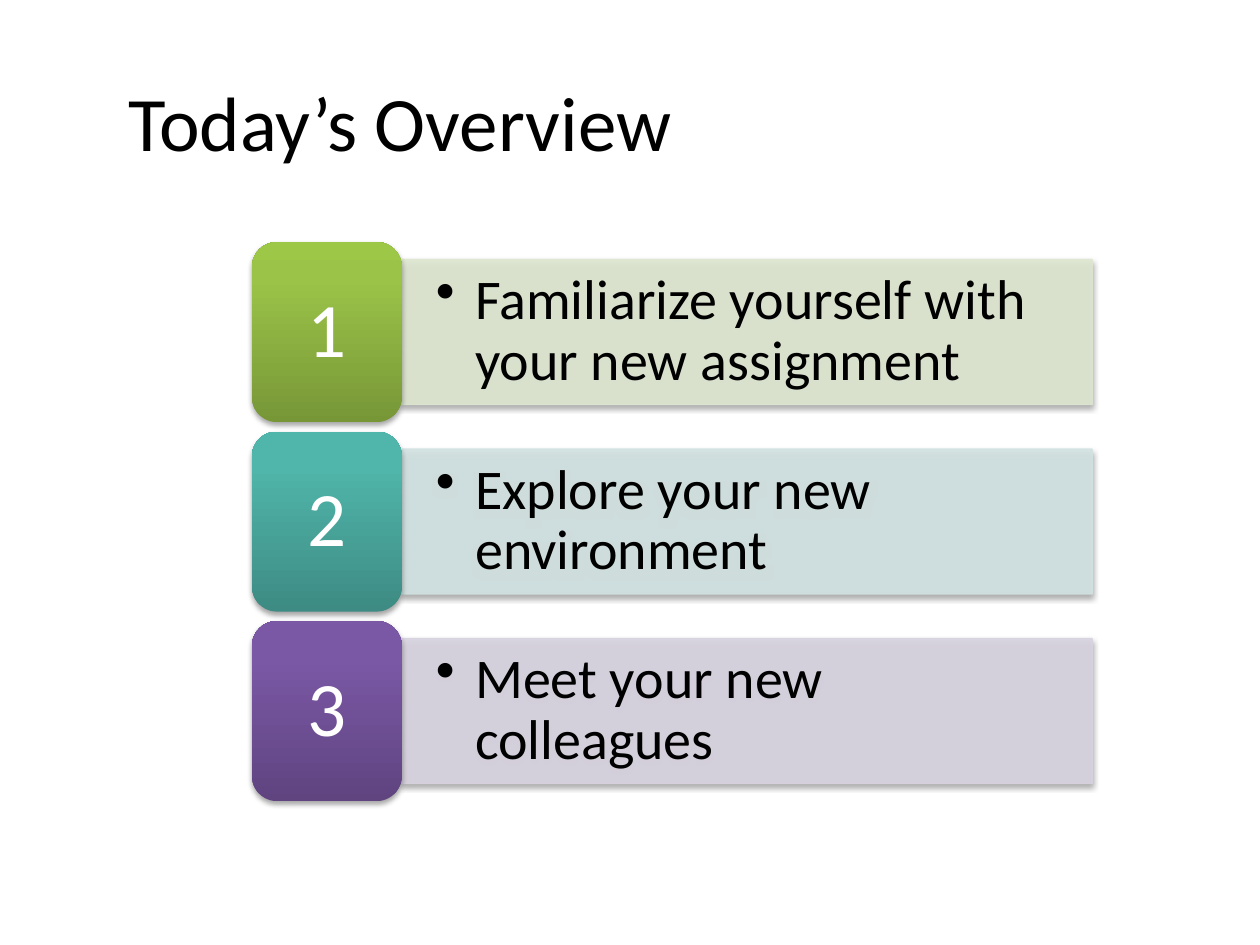
from lxml import etree
from pptx import Presentation
from pptx.dml.color import RGBColor
from pptx.enum.shapes import MSO_SHAPE
from pptx.enum.text import MSO_ANCHOR, PP_ALIGN
from pptx.oxml.ns import qn
from pptx.util import Cm, Pt

RECTANGLE = MSO_SHAPE.RECTANGLE
ROUNDED = MSO_SHAPE.ROUNDED_RECTANGLE
MIDDLE = MSO_ANCHOR.MIDDLE
LEFT, CENTER = PP_ALIGN.LEFT, PP_ALIGN.CENTER

COLORS = {"text": "000000", "number": "FFFFFF", "shadow": "000000"}
STEPS = [
    ("Familiarize yourself with your new assignment", "DEE7D1", ("779737", "9BC348", "9DC746")),
    ("Explore your new environment", "D2E3E2", ("3D8B83", "50B5AA", "4EB8AC")),
    ("Meet your new colleagues", "D8D3E0", ("5F4480", "7B58A6", "7C57A8")),
]
GRADIENT_STOPS = (0, 80, 100)
TILE_LEFT, TILE_TOP, TILE_WIDTH, TILE_HEIGHT = 5.08, 4.88, 3.02, 3.63
BAR_WIDTH, BAR_HEIGHT = 13.92, 2.92
STEP_PITCH = 3.82


def add_node(parent, tag, **attributes):
    values = {name: str(value) for name, value in attributes.items()}
    return etree.SubElement(parent, qn(tag), values)


def add_color(parent, color, alpha=100):
    node = add_node(parent, "a:srgbClr", val=color)
    if alpha < 100:
        add_node(node, "a:alpha", val=alpha * 1000)


class SlideBuilder:
    """Holds the text style and the current slide, and draws its elements."""

    font = "Calibri"

    def __init__(self, page):
        self.page = page

    def set_text(self, shape, text, size, color, align=LEFT, margins=(0.25, 0.13),
                 spacing=1.0, bullet_indent=0):
        frame = shape.text_frame
        frame.word_wrap = True
        frame.vertical_anchor = MIDDLE
        frame.margin_left = frame.margin_right = Cm(margins[0])
        frame.margin_top = frame.margin_bottom = Cm(margins[1])
        para = frame.paragraphs[0]
        para.alignment = align
        para.line_spacing = spacing
        if bullet_indent:
            properties = para._p.get_or_add_pPr()
            properties.set("marL", str(Cm(bullet_indent)))
            properties.set("indent", str(-Cm(bullet_indent)))
            add_node(properties, "a:buChar", char="•")
        span = para.add_run()
        span.text = text
        span.font.name = self.font
        span.font.size = Pt(size)
        span.font.color.rgb = RGBColor.from_string(color)

    def title(self, text, left, top, width, height):
        box = self.page.shapes.add_textbox(Cm(left), Cm(top), Cm(width), Cm(height))
        self.set_text(box, text, 44, COLORS["text"])

    def shape(self, kind, left, top, width, height):
        shape = self.page.shapes.add_shape(kind, Cm(left), Cm(top), Cm(width), Cm(height))
        shape.shadow.inherit = False
        effects = shape._element.spPr.find(qn("a:effectLst"))
        shadow = add_node(effects, "a:outerShdw", blurRad=Pt(3.1), dist=Pt(1.8),
                          dir=90 * 60000, rotWithShape=0)
        add_color(shadow, COLORS["shadow"], 35)
        return shape

    def bar(self, text, color, left, top):
        bar = self.shape(RECTANGLE, left, top, BAR_WIDTH, BAR_HEIGHT)
        bar.line.width = Pt(0.75)
        for fill in (bar.fill, bar.line.fill):
            fill.solid()
            fill.fore_color.rgb = RGBColor.from_string(color)
        for node in bar._element.spPr.iter(qn("a:solidFill")):
            add_node(node[0], "a:alpha", val=90000)
        self.set_text(bar, text, 32, COLORS["text"], margins=(0.69, 0.36),
                      spacing=0.9, bullet_indent=0.79)

    def tile(self, text, colors, left, top):
        tile = self.shape(ROUNDED, left, top, TILE_WIDTH, TILE_HEIGHT)
        tile.line.fill.background()
        tile.fill.gradient()
        gradient = tile._element.spPr.find(qn("a:gradFill"))
        for child in list(gradient):
            gradient.remove(child)
        stops = add_node(gradient, "a:gsLst")
        for position, color in zip(GRADIENT_STOPS, colors):
            add_color(add_node(stops, "a:gs", pos=position * 1000), color)
        add_node(gradient, "a:lin", ang=270 * 60000, scaled=0)
        self.set_text(tile, text, 44, COLORS["number"], align=CENTER,
                      margins=(0.46, 0.23), spacing=0.9)


deck = Presentation()
deck.slide_width, deck.slide_height = Cm(25.4), Cm(19.05)
builder = SlideBuilder(deck.slides.add_slide(deck.slide_layouts[6]))

for index, (step, bar_color, tile_colors) in enumerate(STEPS):
    top = TILE_TOP + index * STEP_PITCH
    builder.bar(step, bar_color, TILE_LEFT + TILE_WIDTH, top + (TILE_HEIGHT - BAR_HEIGHT) / 2)
    builder.tile(str(index + 1), tile_colors, TILE_LEFT, top)
builder.title("Today’s Overview", 2.34, 0.84, 22.43, 3.18)

deck.save("out.pptx")
